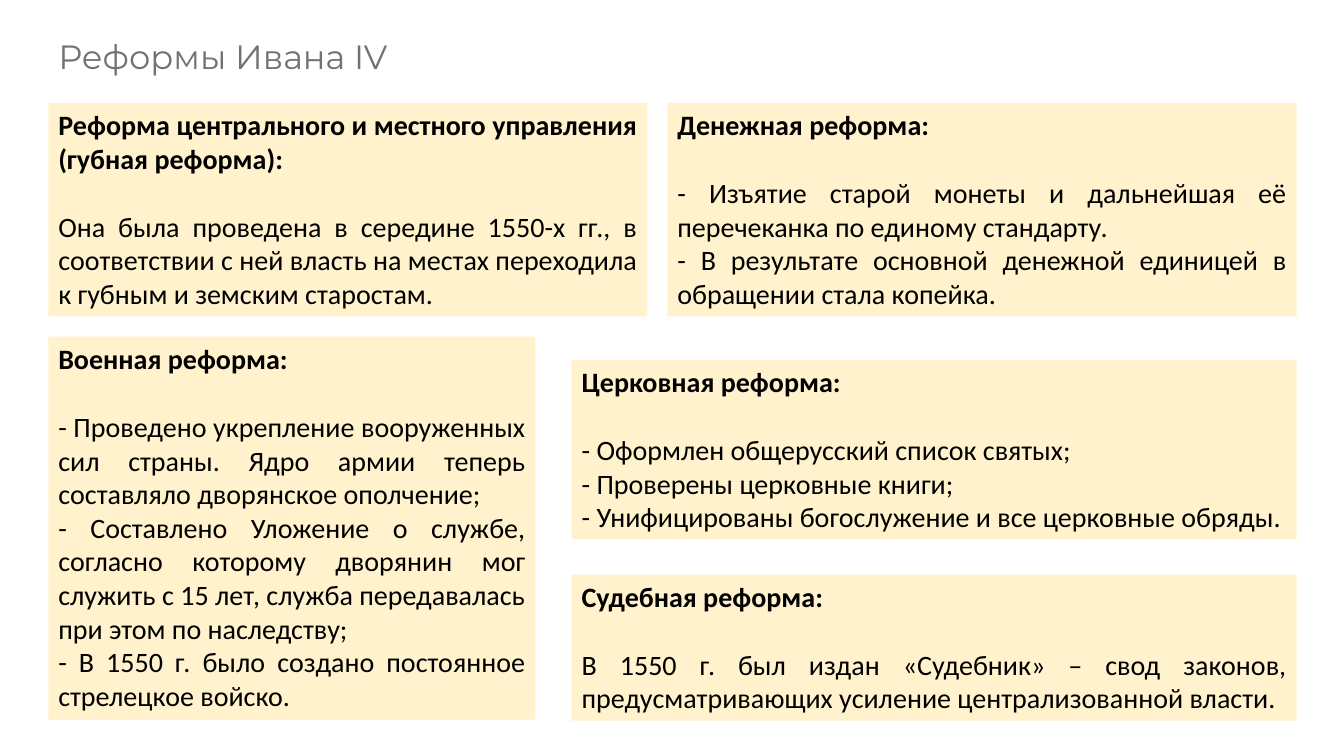
"""Build a slide that sums up the reforms of Ivan IV in five cards."""
from pptx import Presentation
from pptx.dml.color import RGBColor
from pptx.enum import shapes, text
from pptx.util import Inches, Pt

COLORS = {"title": "767171", "card": "FFF2CC", "ink": "000000"}
LEFT, RIGHT = 0.48, 12.86
TOP_ROW, TOP_HEIGHT = 1.02, 2.12
LOWER_RIGHT = 5.67
LINE_GAP = 24.4

REFORMS = [
    (LEFT, TOP_ROW, 6.42, TOP_HEIGHT,
     "Реформа центрального и местного управления (губная реформа):",
     ["Она была проведена в середине 1550-х гг., в соответствии с ней власть "
      "на местах переходила к губным и земским старостам."]),
    (6.62, TOP_ROW, RIGHT, TOP_HEIGHT,
     "Денежная реформа:",
     ["- Изъятие старой монеты и дальнейшая её перечеканка по единому стандарту.",
      "- В результате основной денежной единицей в обращении стала копейка."]),
    (LEFT, 3.34, 5.31, 3.8,
     "Военная реформа:",
     ["- Проведено укрепление вооруженных сил страны. Ядро армии теперь "
      "составляло дворянское ополчение;",
      "- Составлено Уложение о службе, согласно которому дворянин мог служить "
      "с 15 лет, служба передавалась при этом по наследству;",
      "- В 1550 г. было создано постоянное стрелецкое войско."]),
    (LOWER_RIGHT, 3.57, RIGHT, 1.78,
     "Церковная реформа:",
     ["- Оформлен общерусский список святых;",
      "- Проверены церковные книги;",
      "- Унифицированы богослужение и все церковные обряды."]),
    (LOWER_RIGHT, 5.7, RIGHT, 1.45,
     "Судебная реформа:",
     ["В 1550 г. был издан «Судебник» – свод законов, предусматривающих "
      "усиление централизованной власти."]),
]


def write(paragraph, words, *, size=20, font="Calibri", color="ink", bold=False,
          align=text.PP_ALIGN.JUSTIFY, before=0, spacing=1.0):
    """Put formatted words into a paragraph."""
    paragraph.alignment = align
    paragraph.line_spacing = spacing
    if before:
        paragraph.space_before = Pt(before)
    run = paragraph.add_run()
    run.text = words
    run.font.size = Pt(size)
    run.font.name = font
    run.font.bold = bold
    run.font.color.rgb = RGBColor.from_string(COLORS[color])


def place_title(slide, words):
    """Move the title placeholder to the top and fill it."""
    title = slide.shapes.title
    title.left, title.top = Inches(LEFT), Inches(-0.14)
    title.width, title.height = Inches(11.5), Inches(1.45)
    frame = title.text_frame
    frame.auto_size = text.MSO_AUTO_SIZE.NONE
    frame.vertical_anchor = text.MSO_ANCHOR.MIDDLE
    write(frame.paragraphs[0], words, size=24, font="Montserrat", color="title",
          align=text.PP_ALIGN.LEFT, spacing=0.9)


def add_reform(slide, left, top, right, height, heading, points):
    """Draw one card with a bold heading and its points."""
    card = slide.shapes.add_shape(
        shapes.MSO_SHAPE.RECTANGLE, Inches(left), Inches(top),
        Inches(right - left), Inches(height))
    card.shadow.inherit = False
    card.fill.solid()
    card.fill.fore_color.rgb = RGBColor.from_string(COLORS["card"])
    card.line.fill.background()
    frame = card.text_frame
    frame.word_wrap = True
    frame.auto_size = text.MSO_AUTO_SIZE.SHAPE_TO_FIT_TEXT
    frame.vertical_anchor = text.MSO_ANCHOR.TOP
    write(frame.paragraphs[0], heading, bold=True)
    for index, point in enumerate(points):
        write(frame.add_paragraph(), point, before=0 if index else LINE_GAP)


def main():
    """Assemble and save the slide."""
    deck = Presentation()
    deck.slide_width, deck.slide_height = Inches(13.33), Inches(7.5)
    slide = deck.slides.add_slide(deck.slide_layouts.get_by_name("Title Only"))
    place_title(slide, "Реформы Ивана IV")
    for reform in REFORMS:
        add_reform(slide, *reform)
    deck.save("out.pptx")


if __name__ == "__main__":
    main()
